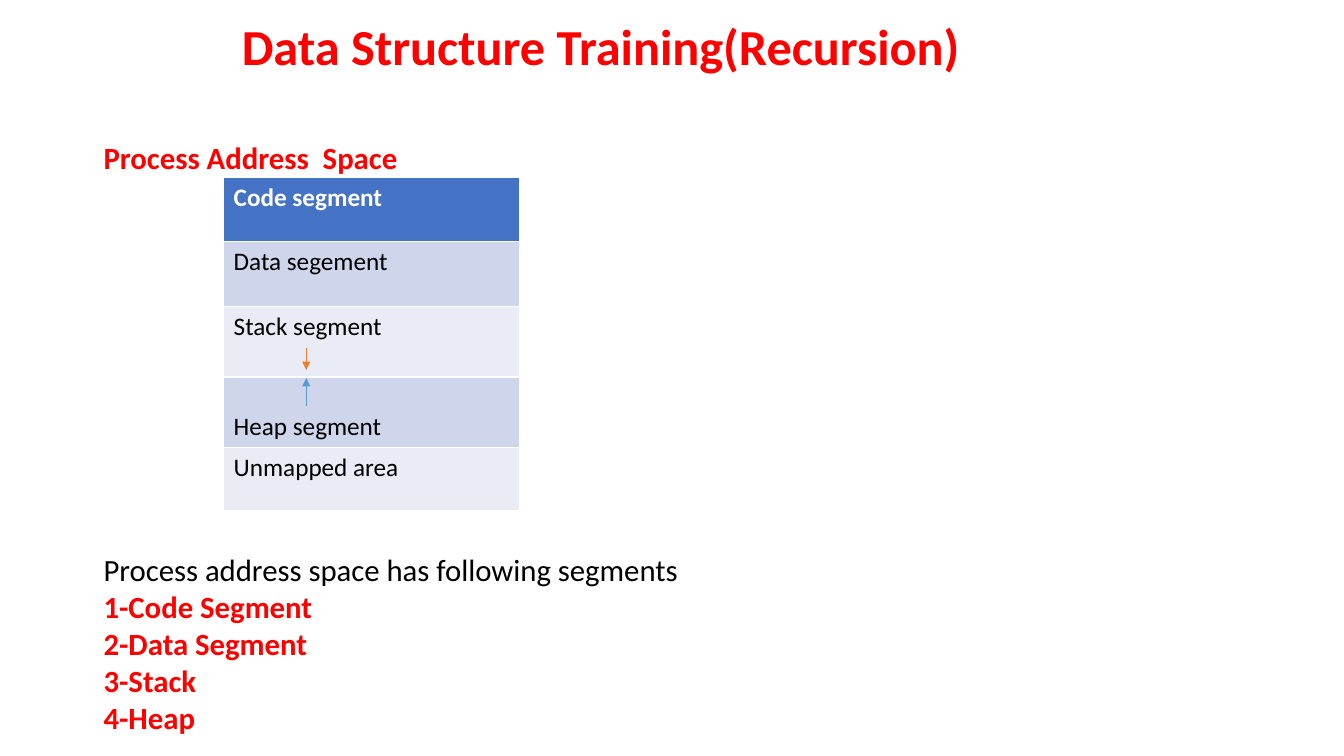
from lxml.etree import SubElement
from pptx import Presentation
from pptx.dml.color import RGBColor
from pptx.enum.shapes import MSO_CONNECTOR
from pptx.enum.text import MSO_ANCHOR, PP_ALIGN
from pptx.oxml.ns import qn
from pptx.util import Inches, Pt

RED, BLACK, WHITE = "FF0000", "000000", "FFFFFF"
HEADER, BAND_DARK, BAND_LIGHT = "4472C4", "CFD5EA", "E9EBF5"
ORANGE, BLUE = "ED7D31", "5B9BD5"


def rgb(value):
    return RGBColor.from_string(value)


def write(p, text, size, color, bold, **layout):
    """Fill a paragraph with one run and apply paragraph settings."""
    for name, value in layout.items():
        setattr(p, name, value)
    r = p.add_run()
    r.text = text
    font = {"name": "Calibri", "size": Pt(size), "bold": bold}
    for name, value in font.items():
        setattr(r.font, name, value)
    r.font.color.rgb = rgb(color)


def text_frame(s, box):
    tf = s.shapes.add_textbox(*map(Inches, box)).text_frame
    tf.word_wrap = True
    return tf


def title(s, box):
    tf = text_frame(s, box)
    write(tf.paragraphs[0], "Data Structure Training(Recursion)", 36, RED, True,
          alignment=PP_ALIGN.CENTER)


def body(s, box):
    """Heading and segment list, with room between them for the table."""
    tf = text_frame(s, box)
    write(tf.paragraphs[0], "Process Address  Space", 22, RED, True,
          alignment=PP_ALIGN.JUSTIFY)
    write(tf.add_paragraph(), "Process address space has following segments",
          22, BLACK, False, alignment=PP_ALIGN.JUSTIFY, space_before=Pt(268))
    for i, name in enumerate(("Code Segment", "Data Segment", "Stack", "Heap"), 1):
        write(tf.add_paragraph(), f"{i}-{name}", 22, RED, True,
              alignment=PP_ALIGN.JUSTIFY)


def arrow(s, x, y1, y2, color):
    line = s.shapes.add_connector(
        MSO_CONNECTOR.STRAIGHT, *map(Inches, (x, y1, x, y2)))
    line.line.color.rgb = rgb(color)
    line.line.width = Pt(0.5)
    SubElement(line.line._get_or_add_ln(), qn("a:tailEnd"), type="triangle")
    SubElement(line._element.spPr, qn("a:effectLst"))


def address_space(s, box):
    """Segment table with arrows showing stack and heap growth."""
    x, y, _, _ = box
    segments = [("Code segment", 0.64), ("Data segement", 0.64),
                ("Stack segment", 0.7), ("Heap segment", 0.7),
                ("Unmapped area", 0.63)]
    table = s.shapes.add_table(len(segments), 1, *map(Inches, box)).table
    for i, (name, height) in enumerate(segments):
        table.rows[i].height = Inches(height)
        cell = table.cell(i, 0)
        cell.fill.solid()
        fill = HEADER if i == 0 else BAND_DARK if i % 2 else BAND_LIGHT
        cell.fill.fore_color.rgb = rgb(fill)
        if name == "Heap segment":
            cell.vertical_anchor = MSO_ANCHOR.BOTTOM
        write(cell.text_frame.paragraphs[0], name, 18,
              BLACK if i else WHITE, i == 0)
    arrow(s, x + 0.82, y + 1.69, y + 1.91, ORANGE)
    arrow(s, x + 0.82, y + 2.27, y + 1.99, BLUE)


def main():
    prs = Presentation()
    prs.slide_width, prs.slide_height = Inches(13.34), Inches(7.5)
    s = prs.slides.add_slide(prs.slide_layouts[6])
    body(s, (0.93, 1.33, 10.57, 6.1))
    address_space(s, (2.22, 1.76, 2.94, 3.31))
    title(s, (0.63, 0.1, 10.67, 0.7))
    prs.save("out.pptx")


if __name__ == "__main__":
    main()
